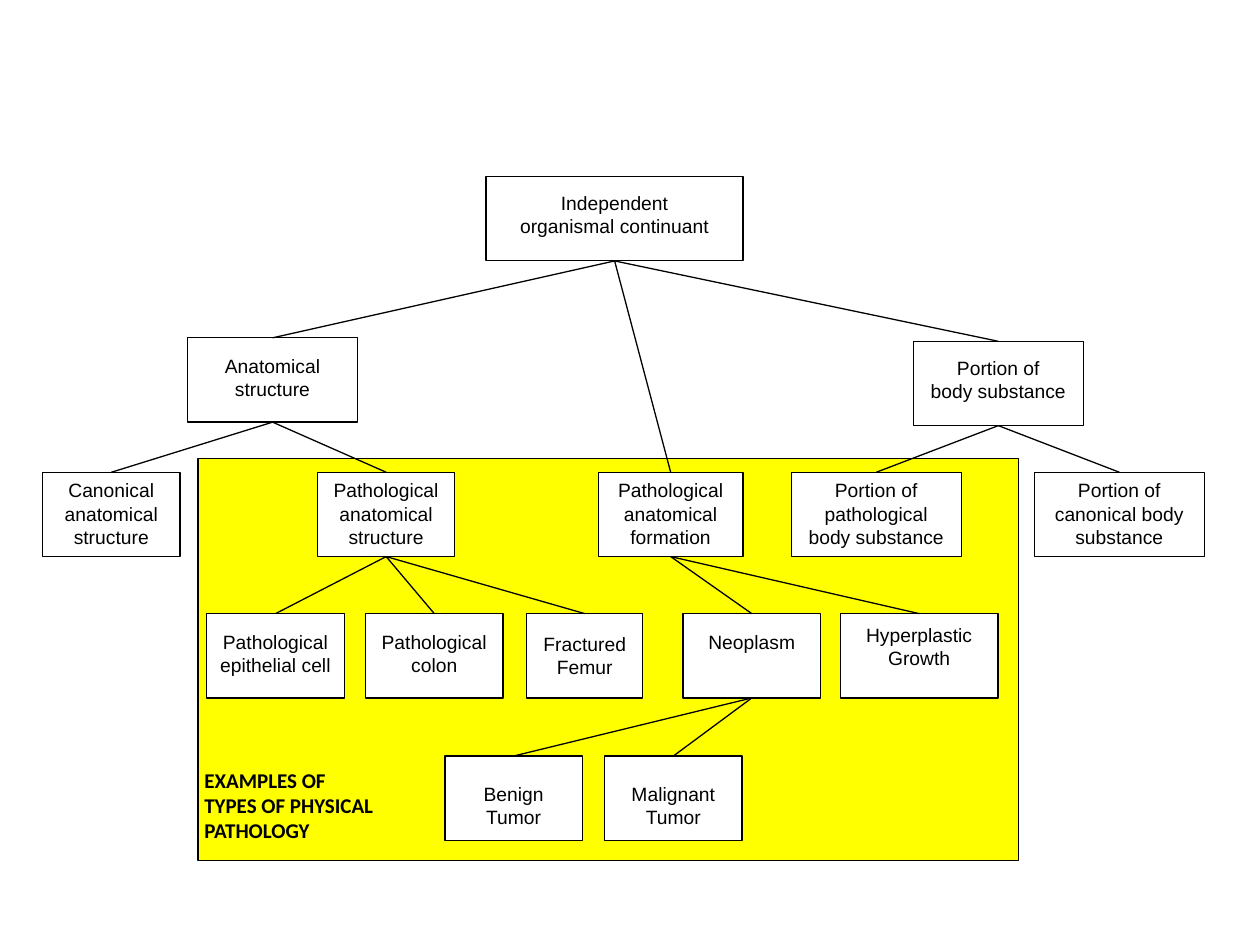
from pptx import Presentation
from pptx.dml.color import RGBColor
from pptx.enum.shapes import MSO_CONNECTOR, MSO_SHAPE
from pptx.enum.text import MSO_ANCHOR, PP_ALIGN
from pptx.oxml.ns import qn
from pptx.util import Cm, Pt
from lxml import etree

RECT = MSO_SHAPE.RECTANGLE
LINE = MSO_CONNECTOR.STRAIGHT
TOP, LOW = MSO_ANCHOR.TOP, MSO_ANCHOR.BOTTOM
LEFT, MID = PP_ALIGN.LEFT, PP_ALIGN.CENTER
BLACK = RGBColor(0, 0, 0)
WHITE = RGBColor(255, 255, 255)
YELLOW = RGBColor(255, 255, 0)

# Content: key, text, left, width, top inset (cm), grouped by row top
ROWS = [
    (3.56, [("root", "Independent\norganismal continuant", 9.8, 5.18, 0.3)]),
    (6.81, [("anat", "Anatomical\nstructure", 3.78, 3.43, 0.33)]),
    (6.88, [("body", "Portion of\nbody substance", 18.41, 3.43, 0.3)]),
    (9.52, [
        ("canon", "Canonical\nanatomical\nstructure", 0.86, 2.77, 0.13),
        ("path", "Pathological\nanatomical structure", 6.4, 2.77, 0.13),
        ("form", "Pathological anatomical formation", 12.06, 2.92, 0.13),
        ("sick", "Portion of\npathological\nbody substance", 15.95, 3.43, 0.13),
        ("well", "Portion of canonical body substance", 20.85, 3.43, 0.13),
    ]),
    (12.37, [
        ("cell", "Pathological\nepithelial cell", 4.17, 2.77, 0.33),
        ("colon", "Pathological\ncolon", 7.37, 2.77, 0.33),
        ("femur", "Fractured Femur", 10.62, 2.34, 0.38),
        ("neo", "Neoplasm", 13.77, 2.77, 0.33),
        ("growth", "Hyperplastic Growth", 16.94, 3.18, 0.2),
    ]),
    (15.24, [
        ("benign", "Benign\nTumor", 8.97, 2.77, 0.53),
        ("malig", "Malignant Tumor", 12.19, 2.77, 0.53),
    ]),
]
TREE = {
    "root": ["anat", "form", "body"],
    "anat": ["canon", "path"],
    "body": ["sick", "well"],
    "path": ["cell", "colon", "femur"],
    "form": ["neo", "growth"],
    "neo": ["benign", "malig"],
}
LABEL = "EXAMPLES OF\nTYPES OF PHYSICAL\nPATHOLOGY"
HIGH = 1.7   # height of every node
PAD = 0.13   # default text inset


def add_box(slide, text, left, top, width, height, fill, font, size,
            bold=False, align=MID, anchor=TOP, over=PAD, under=PAD):
    box = slide.shapes.add_shape(RECT, Cm(left), Cm(top), Cm(width), Cm(height))
    box.shadow.inherit = False
    box.fill.solid()
    box.fill.fore_color.rgb = fill
    box.line.color.rgb = BLACK
    box.line.width = Pt(0.75)
    frame = box.text_frame
    frame.word_wrap = True
    frame.vertical_anchor = anchor
    frame.margin_left = frame.margin_right = Cm(PAD)
    frame.margin_top, frame.margin_bottom = Cm(over), Cm(under)
    frame.text = text
    for para in frame.paragraphs:
        para.alignment = align
        for run in para.runs:
            run.font.name = font
            run.font.size = Pt(size)
            run.font.bold = bold
            run.font.color.rgb = BLACK
    return box


def join(slide, start, end):
    link = slide.shapes.add_connector(LINE, 0, 0, 0, 0)
    link.begin_connect(start, 2)
    link.end_connect(end, 0)
    link.line.color.rgb = BLACK
    link.line.width = Pt(0.75)
    etree.SubElement(link._element.spPr, qn("a:effectLst"))


def main():
    deck = Presentation()
    deck.slide_width, deck.slide_height = Cm(25.4), Cm(19.05)
    slide = deck.slides.add_slide(deck.slide_layouts[6])

    # Highlighted pathology area
    add_box(slide, LABEL, 3.99, 9.25, 16.54, 8.1, YELLOW, "Calibri", 12,
            bold=True, align=LEFT, anchor=LOW, under=0.36)

    # Nodes
    nodes = {}
    for top, row in ROWS:
        for key, text, left, width, over in row:
            nodes[key] = add_box(slide, text, left, top, width, HIGH,
                                 WHITE, "Arial", 11, over=over)

    # Branches
    for parent, kids in TREE.items():
        for kid in kids:
            join(slide, nodes[parent], nodes[kid])

    deck.save("out.pptx")


if __name__ == "__main__":
    main()
